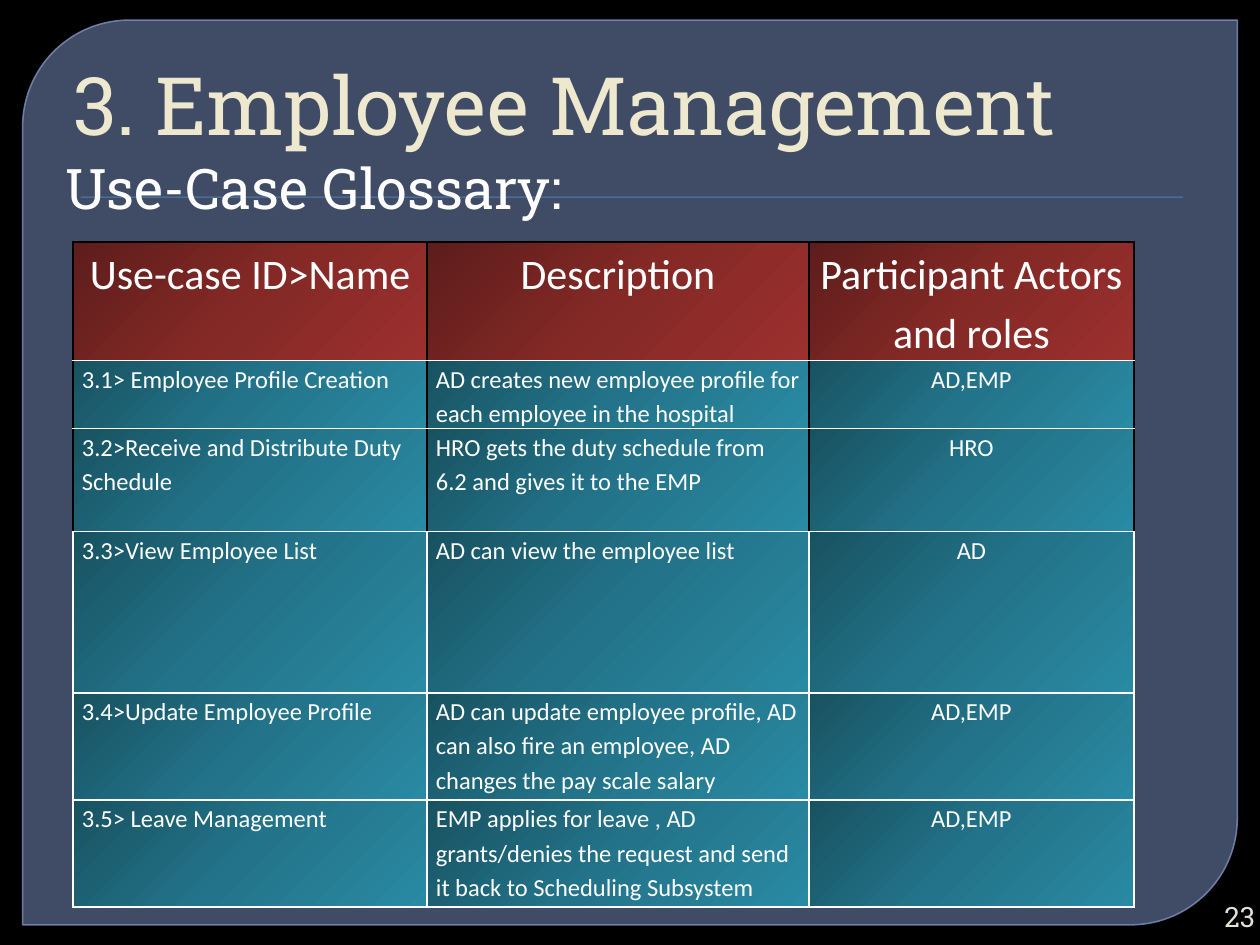
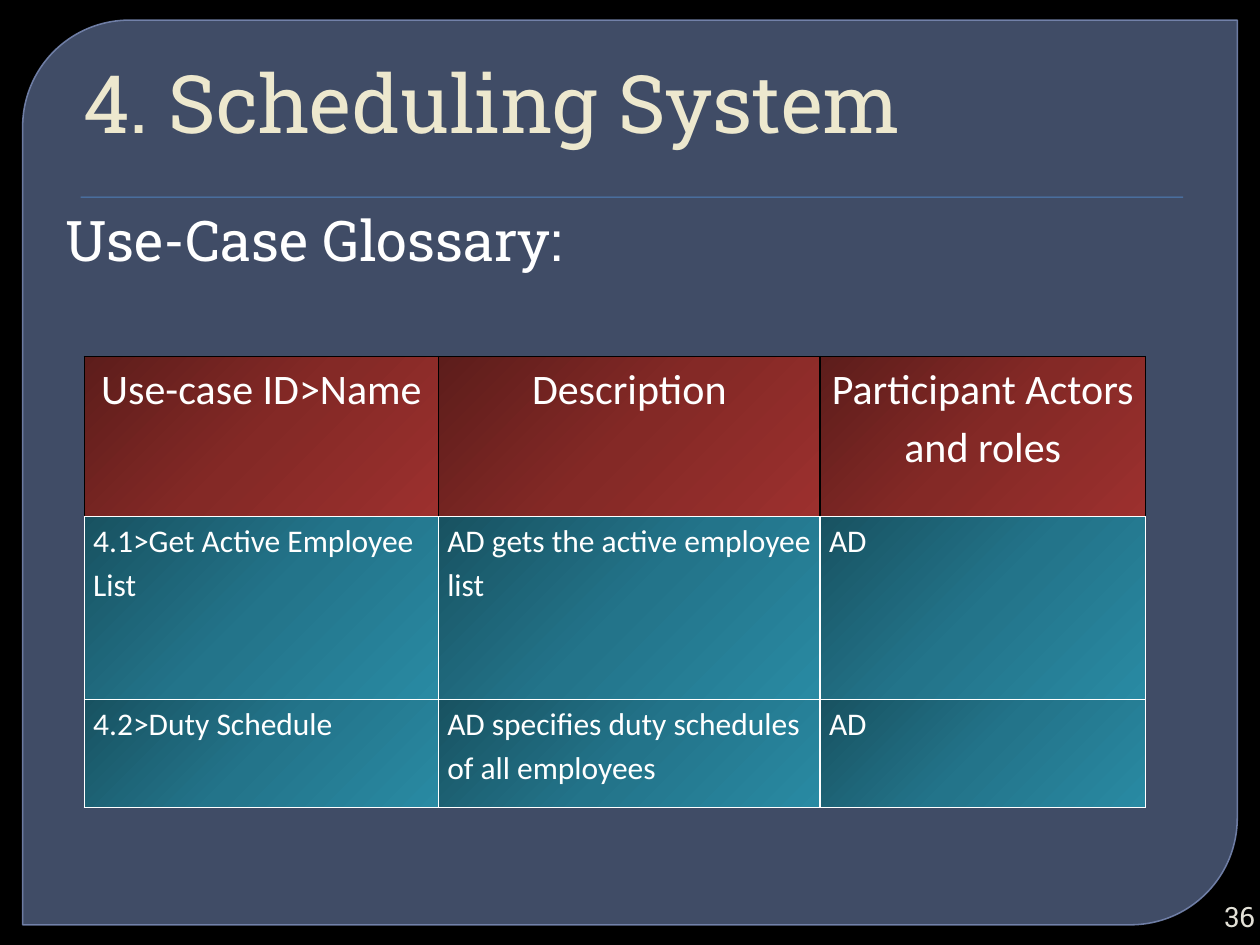
from dataclasses import dataclass

from lxml import etree
from pptx import Presentation
from pptx import util as u
from pptx.dml.color import RGBColor
from pptx.enum import shapes, text
from pptx.oxml import ns


@dataclass(frozen=True)
class Theme:
    background: str = "000000"
    panel: str = "63759D"
    panel_line: str = "7989B3"
    rule: str = "4F81BD"
    title: str = "EDE8CE"
    number: str = "E3E1D7"
    white: str = "FFFFFF"
    black: str = "000000"
    header_gradient: tuple = ("5D1D1B", "842926", "9C302E")
    body_gradient: tuple = ("185261", "23748A", "298AA3")
    heading_font: str = "Roboto Slab"
    table_font: str = "Calibri"
    title_size: int = 46
    subtitle_size: int = 32
    header_size: int = 24
    number_size: int = 16


THEME = Theme()
LEFT, CENTER, RIGHT = text.PP_ALIGN.LEFT, text.PP_ALIGN.CENTER, text.PP_ALIGN.RIGHT
TEXT_WIDTH = 9
PANEL_TOP, PANEL_HEIGHT = 0.16, 7.18
COLUMN_WIDTHS = (2.81, 3.03, 2.58)
HEADERS = ("Use-case ID>Name", "Description", "Participant Actors and roles")

EMPLOYEE_USE_CASES = (
    ("3.1> Employee Profile Creation",
     "AD creates new employee profile for each employee in the hospital", "AD,EMP"),
    ("3.2>Receive and Distribute Duty Schedule",
     "HRO gets the duty schedule from 6.2 and gives it to the EMP", "HRO"),
    ("3.3>View Employee List", "AD can view the employee list", "AD"),
    ("3.4>Update Employee Profile",
     "AD can update employee profile, AD can also fire an employee, "
     "AD changes the pay scale salary", "AD,EMP"),
    ("3.5> Leave Management",
     "EMP applies for leave , AD grants/denies the request and send it back "
     "to Scheduling Subsystem", "AD,EMP"),
)
SCHEDULING_USE_CASES = (
    ("4.1>Get Active Employee List", "AD gets the active employee list", "AD"),
    ("4.2>Duty Schedule", "AD specifies duty schedules of all employees", "AD"),
)


def box(left, top, width, height):
    return [u.Inches(value) for value in (left, top, width, height)]


def add_child(parent, tag, **attributes):
    return etree.SubElement(parent, ns.qn(tag), **attributes)


def style_text(paragraph, font_name, size, color, alignment):
    paragraph.alignment = alignment
    for run in paragraph.runs:
        run.font.name = font_name
        run.font.size = u.Pt(size)
        run.font.bold = False
        run.font.color.rgb = RGBColor.from_string(color)


def add_text(slide, words, place, size, color, anchor, alignment=LEFT):
    shape = slide.shapes.add_textbox(*box(*place))
    frame = shape.text_frame
    frame.text = words
    frame.word_wrap = True
    frame.vertical_anchor = anchor
    style_text(frame.paragraphs[0], THEME.heading_font, size, color, alignment)
    return shape


def add_filled_shape(slide, kind, place, color):
    shape = slide.shapes.add_shape(kind, *box(*place))
    shape.shadow.inherit = False
    shape.fill.solid()
    shape.fill.fore_color.rgb = RGBColor.from_string(color)
    shape.line.fill.background()
    return shape


def set_opacity(shape, query, percent):
    for color in shape._element.spPr.xpath(query):
        add_child(color, "a:alpha", val=str(percent * 1000))


def add_panel(slide):
    kind = shapes.MSO_SHAPE.ROUND_2_DIAG_RECTANGLE
    panel = add_filled_shape(slide, kind, (0.18, PANEL_TOP, 9.64, PANEL_HEIGHT), THEME.panel)
    panel.adjustments[0] = 0.118
    panel.adjustments[1] = 0
    panel.line.color.rgb = RGBColor.from_string(THEME.panel_line)
    panel.line.width = u.Pt(0.87)
    set_opacity(panel, "a:solidFill/a:srgbClr", 65)
    set_opacity(panel, "a:ln/a:solidFill/a:srgbClr", 88)


def add_base_slide(presentation, title, title_place, subtitle_top, number):
    slide = presentation.slides.add_slide(presentation.slide_layouts[6])
    slide.background.fill.solid()
    slide.background.fill.fore_color.rgb = RGBColor.from_string(THEME.background)
    add_panel(slide)
    add_filled_shape(slide, shapes.MSO_SHAPE.RECTANGLE, (0.64, 1.56, 8.75, 0.01), THEME.rule)
    title_box = add_text(slide, title, (*title_place, TEXT_WIDTH, 1.25),
                         THEME.title_size, THEME.title, text.MSO_ANCHOR.BOTTOM)
    title_box.text_frame.margin_left = u.Inches(0.16)
    subtitle_height = PANEL_TOP + PANEL_HEIGHT - subtitle_top
    add_text(slide, "Use-Case Glossary:", (0.42, subtitle_top, TEXT_WIDTH, subtitle_height),
             THEME.subtitle_size, THEME.white, text.MSO_ANCHOR.TOP)
    number_box = add_text(slide, str(number), (9.45, 7.12, 0.51, 0.3), THEME.number_size,
                          THEME.number, text.MSO_ANCHOR.MIDDLE, RIGHT)
    number_box.text_frame.margin_left = number_box.text_frame.margin_right = 0
    return slide


def paint_cell(cell, gradient, side_color, top_color):
    properties = cell._tc.get_or_add_tcPr()
    borders = {"L": side_color, "R": side_color, "T": top_color, "B": THEME.white}
    for side, color in borders.items():
        line = add_child(properties, f"a:ln{side}", w=str(u.Pt(1)))
        add_child(add_child(line, "a:solidFill"), "a:srgbClr", val=color)
    fill = add_child(properties, "a:gradFill", rotWithShape="1")
    stops = add_child(fill, "a:gsLst")
    for position, color in zip((0, 50000, 100000), gradient):
        add_child(add_child(stops, "a:gs", pos=str(position)), "a:srgbClr", val=color)
    add_child(fill, "a:lin", ang="2700000", scaled="1")


def fill_cell(cell, words, size, alignment):
    cell.margin_left = cell.margin_right = u.Inches(0.07)
    cell.margin_top = cell.margin_bottom = 0
    cell.text = words
    paragraph = cell.text_frame.paragraphs[0]
    paragraph.line_spacing = 1.15
    style_text(paragraph, THEME.table_font, size, THEME.white, alignment)


def add_glossary(slide, left, top, row_heights, use_cases, body_size, actor_alignment,
                 black_sided_rows):
    place = box(left, top, sum(COLUMN_WIDTHS), sum(row_heights))
    table = slide.shapes.add_table(len(row_heights), len(COLUMN_WIDTHS), *place).table
    table.horz_banding = False
    for column, width in zip(table.columns, COLUMN_WIDTHS):
        column.width = u.Inches(width)
    for row, height in zip(table.rows, row_heights):
        row.height = u.Inches(height)
    for row_index, entries in enumerate((HEADERS, *use_cases)):
        is_header = row_index == 0
        gradient = THEME.header_gradient if is_header else THEME.body_gradient
        side_color = THEME.black if row_index < black_sided_rows else THEME.white
        top_color = THEME.black if is_header else THEME.white
        size = THEME.header_size if is_header else body_size
        alignments = (CENTER,) * 3 if is_header else (LEFT, LEFT, actor_alignment)
        for column_index, words in enumerate(entries):
            cell = table.cell(row_index, column_index)
            fill_cell(cell, words, size, alignments[column_index])
            paint_cell(cell, gradient, side_color, top_color)


def main():
    presentation = Presentation()
    presentation.slide_width = u.Inches(10)
    presentation.slide_height = u.Inches(7.5)

    employee_slide = add_base_slide(presentation, "3. Employee Management", (0.42, 0), 1.17, 23)
    add_glossary(employee_slide, 0.58, 1.92, (0.94, 0.54, 0.82, 1.28, 0.85, 0.85),
                 EMPLOYEE_USE_CASES, 14, CENTER, black_sided_rows=3)

    scheduling_slide = add_base_slide(presentation, "4. Scheduling System", (0.5, -0.01), 1.58, 36)
    add_glossary(scheduling_slide, 0.67, 2.83, (1.27, 1.45, 0.86),
                 SCHEDULING_USE_CASES, 18, LEFT, black_sided_rows=1)

    presentation.save("out.pptx")


if __name__ == "__main__":
    main()
